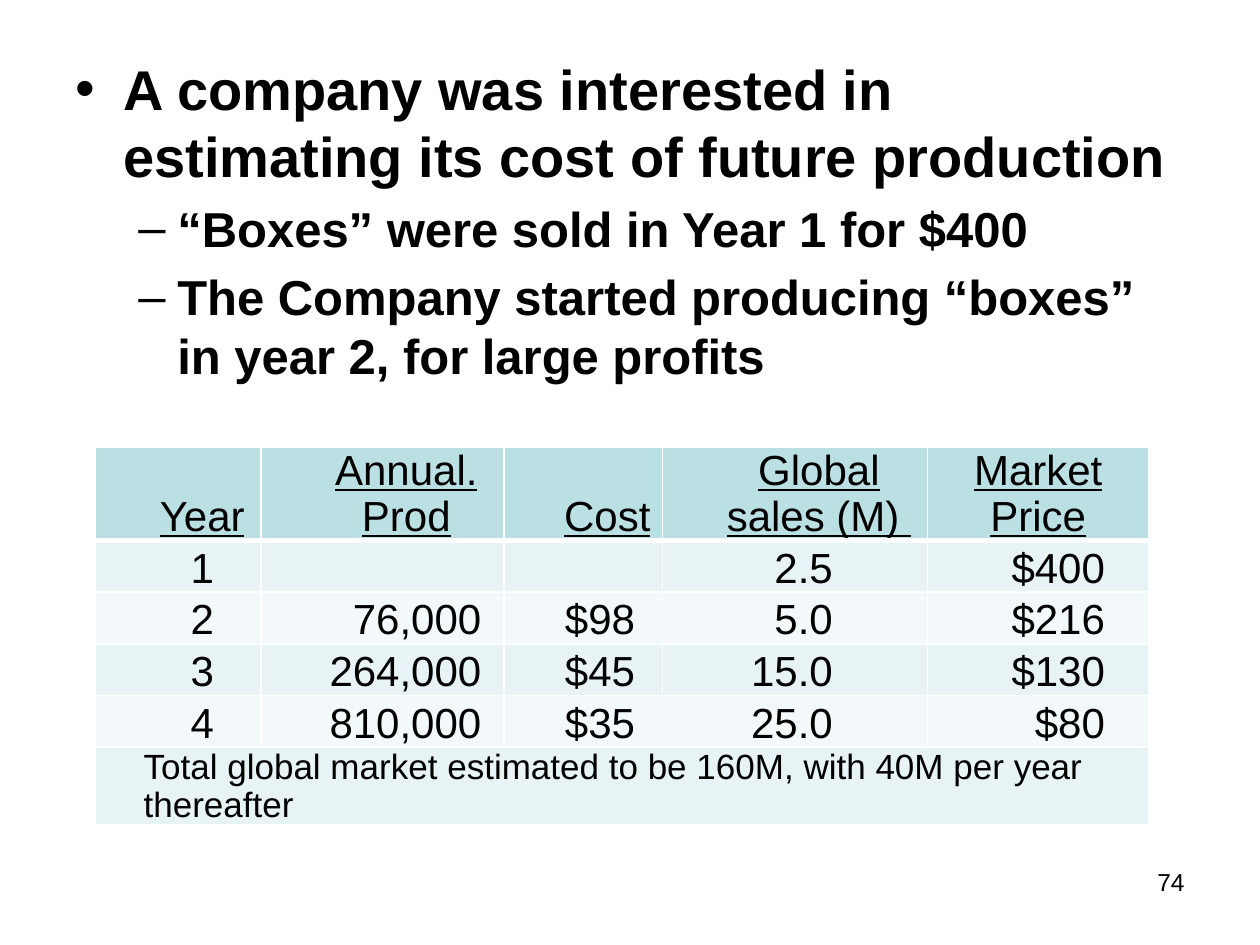
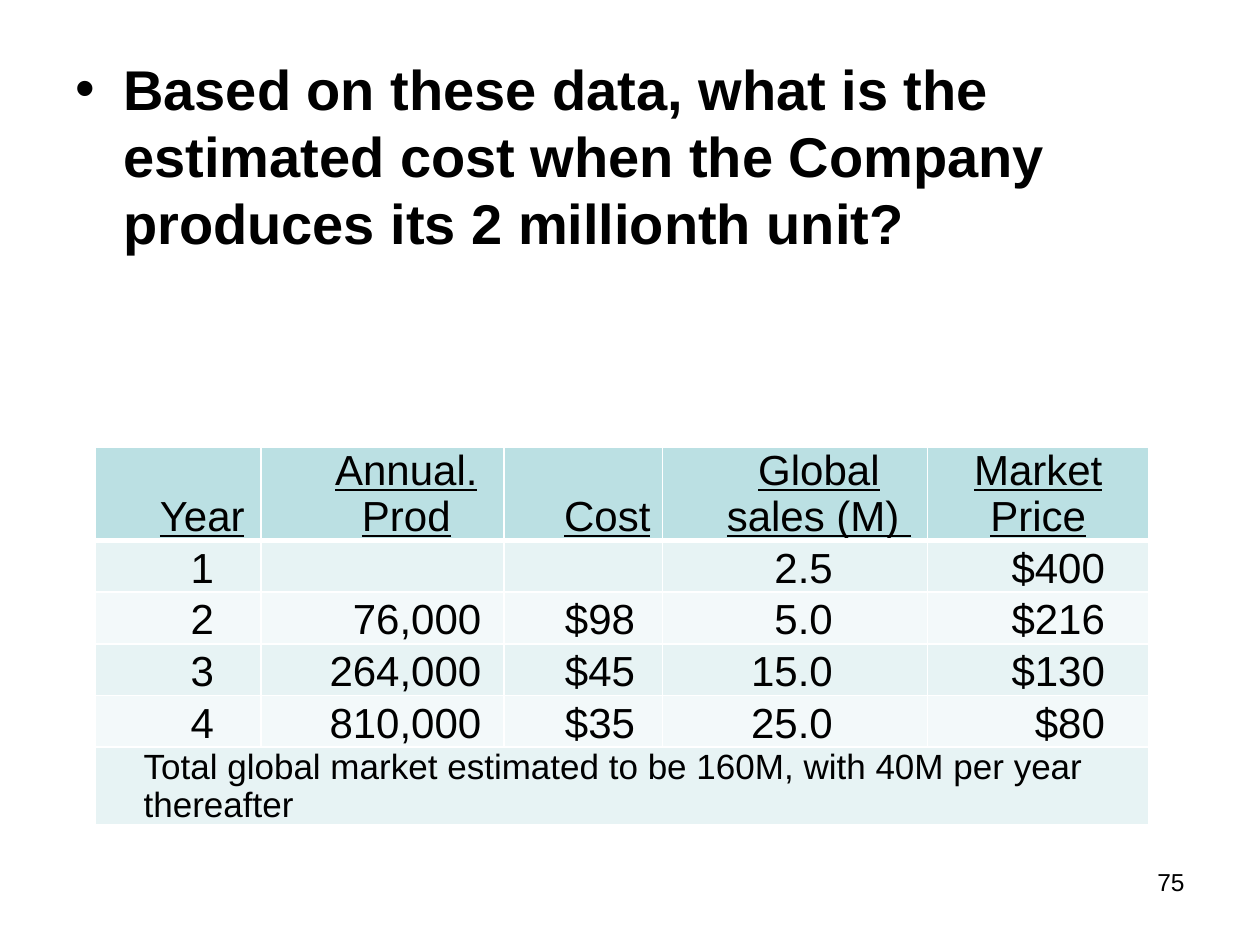
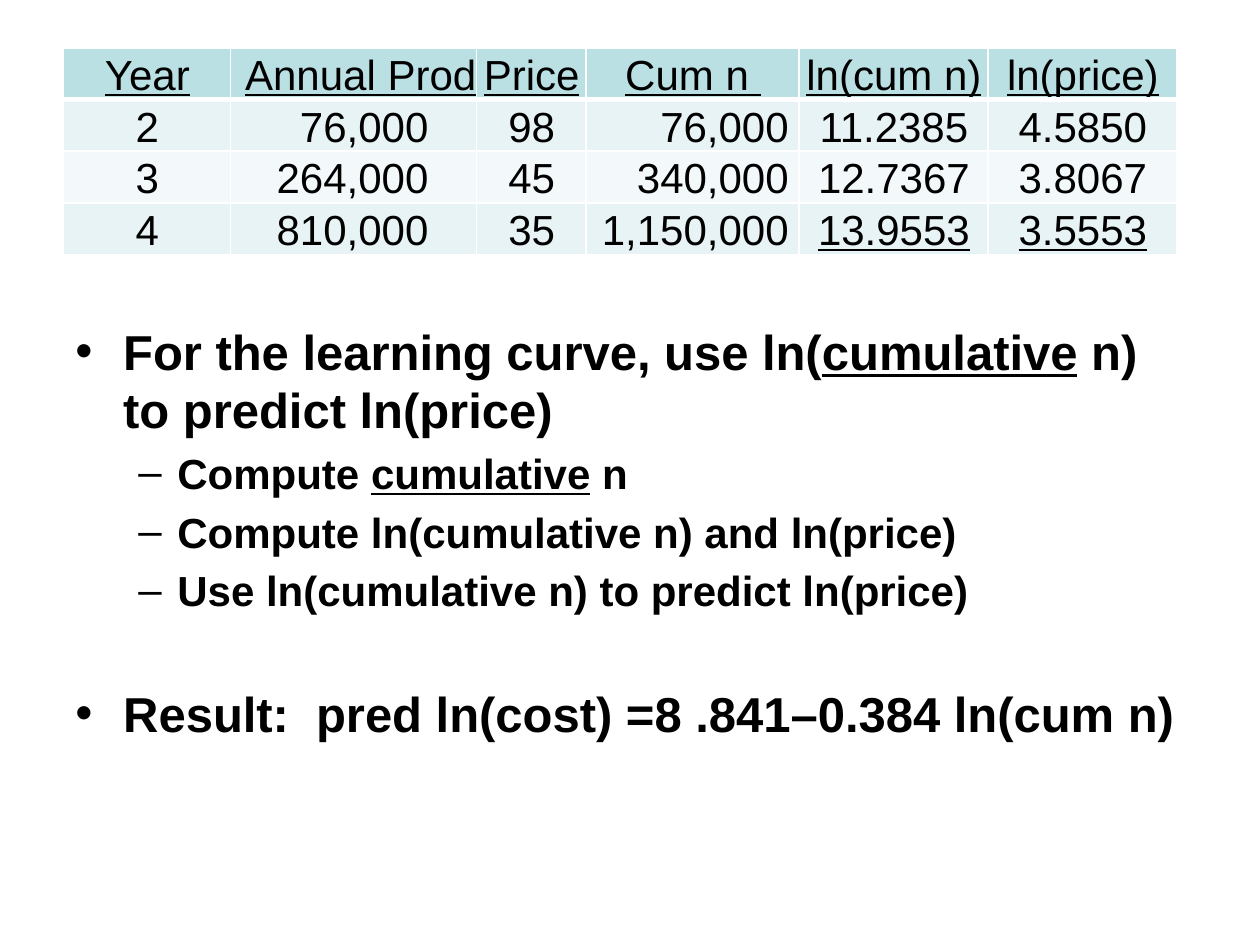
from dataclasses import dataclass

from lxml import etree
from pptx import Presentation
from pptx import util as u
from pptx.dml.color import RGBColor
from pptx.enum import text
from pptx.oxml import ns

ALIGN = text.PP_ALIGN


@dataclass(frozen=True)
class Theme:
    font: str = "Arial"
    ink: str = "000000"
    paper: str = "FFFFFF"
    header: str = "BBE0E3"
    bands: tuple = ("E7F3F4", "F3F9FA")
    lead: int = 32
    point: int = 28
    cell: int = 24
    note: int = 20
    footer: int = 14
    body_leading: float = 1.2
    cell_leading: float = 1.1


@dataclass(frozen=True)
class Column:
    """Data is centred, or right-aligned when a right inset is given."""
    title: str
    width: float
    left: float = 0.01
    right: float = None
    title_align: int = ALIGN.CENTER


T = Theme()
BODY = (0.5, 0.38, 9, 6.37)
NUMBER = (7.17, 6.83, 2.33, 0.52)
ROW_H = 0.41
# Per level: bullet, left indent, hanging indent
LEVELS = (("•", 0.38, -0.38), ("–", 0.81, -0.31))

MARKET_COLUMNS = (
    Column("Year", 1.31, 0.38),
    Column("Annual. Prod", 1.93, 0.38, 0.18),
    Column("Cost", 1.26, 0.38, 0.22),
    Column("Global sales (M) ", 2.1, 0.38, 0.75),
    Column("Market Price", 1.76, 0, 0.35),
)
MARKET_ROWS = (
    ("1", "", "", "2.5", "$400"),
    ("2", "76,000", "$98", "5.0", "$216"),
    ("3", "264,000", "$45", "15.0", "$130"),
    ("4", "810,000", "$35", "25.0", "$80"),
)
MARKET_NOTE = "Total global market estimated to be 160M, with 40M per year thereafter"

LOG_COLUMNS = (
    Column("Year", 1.33),
    Column("Annual Prod", 1.95, right=0.38, title_align=ALIGN.RIGHT),
    Column("Price", 0.87),
    Column("Cum n ", 1.69, right=0.08),
    Column("ln(cum n)", 1.5),
    Column("ln(price)", 1.5),
)
LOG_ROWS = (
    ("2", "76,000", "98", "76,000", "11.2385", "4.5850"),
    ("3", "264,000", "45", "340,000", "12.7367", "3.8067"),
    ("4", "810,000", "35", "1,150,000", "_13.9553_", "_3.5553_"),
)


def inches(*values):
    return [u.Inches(v) for v in values]


def write(p, content, size, bold=False, align=None, leading=None):
    """Write a paragraph; parts between underscores are underlined."""
    p.alignment = align
    if leading:
        p.line_spacing = u.Pt(size * leading)
    for i, part in enumerate(content.split("_")):
        if part:
            r = p.add_run()
            r.text = part
            f = r.font
            f.name, f.size, f.bold, f.underline = T.font, u.Pt(size), bold, i % 2 == 1
            f.color.rgb = RGBColor.from_string(T.ink)


def paint(fill, color):
    fill.solid()
    fill.fore_color.rgb = RGBColor.from_string(color)


def set_bullet(p, level):
    char, left, hang = LEVELS[level]
    p.level = level
    pPr = p._p.get_or_add_pPr()
    pPr.set("marL", str(u.Inches(left)))
    pPr.set("indent", str(u.Inches(hang)))
    etree.SubElement(pPr, ns.qn("a:buFont"), typeface=T.font)
    etree.SubElement(pPr, ns.qn("a:buChar"), char=char)


def add_body(s, box, items, drop=0.05):
    """Bulleted text; items are (level, size, text[, space before])."""
    sp = s.shapes.add_textbox(*inches(*box))
    paint(sp.fill, T.paper)
    color = sp._element.spPr.find(".//" + ns.qn("a:srgbClr"))
    etree.SubElement(color, ns.qn("a:alpha"), val="90000")
    tf = sp.text_frame
    tf.word_wrap = True
    tf.margin_top = u.Inches(drop)
    for i, (level, size, content, *gap) in enumerate(items):
        p = tf.add_paragraph() if i else tf.paragraphs[0]
        write(p, content, size, bold=True, leading=T.body_leading)
        if i:
            p.space_before = u.Pt(gap[0] if gap else size * 0.2)
        set_bullet(p, level)


def add_number(s, box, number):
    tf = s.shapes.add_textbox(*inches(*box)).text_frame
    tf.word_wrap = True
    write(tf.paragraphs[0], str(number), T.footer, align=ALIGN.RIGHT)


def set_borders(cell, bottom):
    tcPr = cell._tc.get_or_add_tcPr()
    for side, width in (("L", 1), ("R", 1), ("T", 1), ("B", bottom)):
        ln = etree.SubElement(tcPr, ns.qn("a:ln" + side), w=str(u.Pt(width)))
        solid = etree.SubElement(ln, ns.qn("a:solidFill"))
        etree.SubElement(solid, ns.qn("a:srgbClr"), val=T.paper)


def fill_cell(cell, content, fill, left, right=0, align=None, size=T.cell, bottom=1):
    set_borders(cell, bottom)
    paint(cell.fill, fill)
    cell.vertical_anchor = text.MSO_ANCHOR.BOTTOM
    cell.margin_left, cell.margin_right = inches(left, right)
    cell.margin_top = cell.margin_bottom = 0
    write(cell.text_frame.paragraphs[0], content, size, align=align,
          leading=T.cell_leading)


def add_data_table(s, x, y, columns, rows, header_h=ROW_H, note=None, note_h=0.62):
    heights = [header_h] + [ROW_H] * len(rows) + ([note_h] if note else [])
    width = sum(c.width for c in columns)
    tbl = s.shapes.add_table(len(heights), len(columns),
                             *inches(x, y, width, sum(heights))).table
    tbl.first_row = tbl.horz_banding = False
    for row, h in zip(tbl.rows, heights):
        row.height = u.Inches(h)

    # Header and data, column by column
    for c, col in enumerate(columns):
        tbl.columns[c].width = u.Inches(col.width)
        fill_cell(tbl.cell(0, c), f"_{col.title}_", T.header, col.left,
                  align=col.title_align, bottom=3)
        centred = col.right is None
        for r, values in enumerate(rows):
            fill_cell(tbl.cell(r + 1, c), values[c], T.bands[r % 2],
                      col.left if centred else 0, col.right or 0,
                      ALIGN.CENTER if centred else ALIGN.RIGHT)

    # Note across the last row
    if note:
        last = len(heights) - 1
        cell = tbl.cell(last, 0)
        cell.merge(tbl.cell(last, len(columns) - 1))
        fill_cell(cell, note, T.bands[len(rows) % 2], 0.38, size=T.note)


def new_slide(prs):
    return prs.slides.add_slide(prs.slide_layouts[6])


def market_slide(prs, items, number):
    s = new_slide(prs)
    add_body(s, BODY, items)
    add_number(s, NUMBER, number)
    add_data_table(s, 0.76, 3.55, MARKET_COLUMNS, MARKET_ROWS, 0.74, MARKET_NOTE)


def learning_curve_slide(prs):
    s = new_slide(prs)
    add_body(s, BODY, (
        (0, T.point, "For the learning curve, use ln(_cumulative_ n) to predict ln(price)"),
        (1, T.cell, "Compute _cumulative_ n"),
        (1, T.cell, "Compute ln(cumulative n) and ln(price)"),
        (1, T.cell, "Use ln(cumulative n) to predict ln(price)"),
        (0, T.point, "Result:  pred ln(cost) =8 .841–0.384 ln(cum n)", 39),
    ), drop=2.17)
    add_data_table(s, *BODY[:2], LOG_COLUMNS, LOG_ROWS)


def main():
    prs = Presentation()
    prs.slide_width, prs.slide_height = inches(10, 7.5)
    market_slide(prs, (
        (0, T.lead, "A company was interested in estimating its cost of future production"),
        (1, T.point, "“Boxes” were sold in Year 1 for $400"),
        (1, T.point, "The Company started producing “boxes” in year 2, for large profits"),
    ), 74)
    market_slide(prs, (
        (0, T.lead, "Based on these data, what is the estimated cost when the Company "
                    "produces its 2 millionth unit?"),
    ), 75)
    learning_curve_slide(prs)
    prs.save("out.pptx")


if __name__ == "__main__":
    main()
